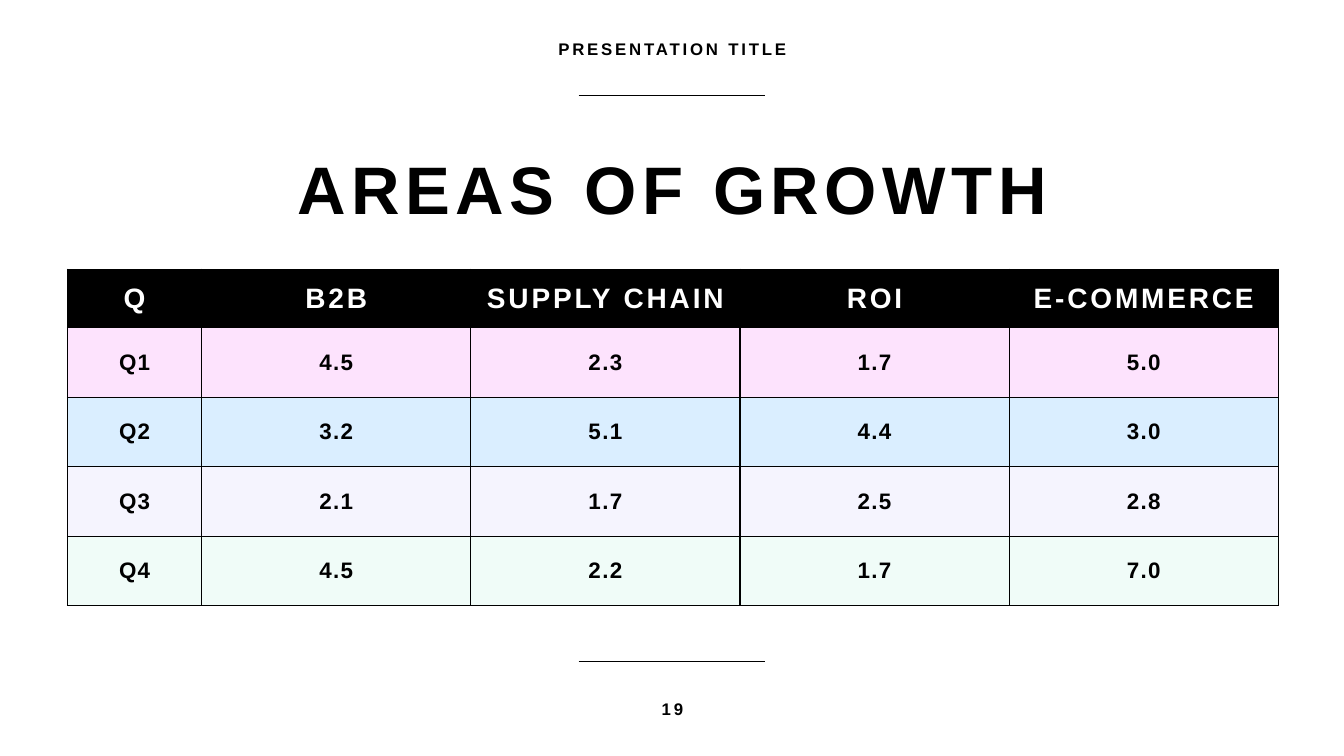
from lxml import etree
from pptx import Presentation
from pptx.dml.color import RGBColor
from pptx.enum import shapes, text
from pptx.oxml import ns
from pptx.util import Inches, Pt

BLACK = RGBColor(0x00, 0x00, 0x00)
WHITE = RGBColor(0xFF, 0xFF, 0xFF)
PINK = RGBColor(0xFB, 0xA3, 0xFB)
BLUE = RGBColor(0xB6, 0xDF, 0xFF)
LILAC = RGBColor(0xED, 0xEB, 0xFE)
MINT = RGBColor(0xE3, 0xFB, 0xF3)

# Content: text, box (left, top, width, height), size, letter spacing, top/bottom inset
HEADINGS = [
    ("AREAS OF GROWTH", (0.67, 0.95, 12, 1.72), 48, 4, (0.2, 0)),
    ("PRESENTATION TITLE", (4.42, 0.01, 4.5, 0.94), 12, 2, (0.05, 0.05)),
    ("19", (4.42, 6.57, 4.5, 0.93), 12, 2, (0.05, 0.05)),
]
RULE_LEFT, RULE_RIGHT = 5.74, 7.59
RULE_TOPS = (0.95, 6.56)

# Growth rows: values, fill, opacity in percent
GROWTH = [
    (("Q", "B2B", "SUPPLY CHAIN", "ROI", "E-COMMERCE"), BLACK, 100),
    (("Q1", "4.5", "2.3", "1.7", "5.0"), PINK, 30),
    (("Q2", "3.2", "5.1", "4.4", "3.0"), BLUE, 50),
    (("Q3", "2.1", "1.7", "2.5", "2.8"), LILAC, 50),
    (("Q4", "4.5", "2.2", "1.7", "7.0"), MINT, 50),
]
GROWTH_BOX = (0.67, 2.67, 12, 3.33)
QUARTER_WIDTH, MEASURE_WIDTH = 1.33, 2.67
HEADER_HEIGHT, QUARTER_HEIGHT = 0.58, 0.69


def write(frame, words, size, color, spacing):
    paragraph = frame.paragraphs[0]
    paragraph.alignment = text.PP_ALIGN.CENTER
    run = paragraph.add_run()
    run.text = words
    for name, value in {"name": "Arial", "size": Pt(size), "bold": True}.items():
        setattr(run.font, name, value)
    run.font.color.rgb = color
    run.font._element.set("spc", str(spacing * 100))
    return paragraph


def add_borders(cell):
    properties = cell._tc.get_or_add_tcPr()
    for place, side in enumerate(("lnL", "lnR", "lnT", "lnB")):
        border = etree.Element(ns.qn("a:" + side), w=str(Pt(1)))
        solid = etree.SubElement(border, ns.qn("a:solidFill"))
        etree.SubElement(solid, ns.qn("a:srgbClr"), val=str(BLACK))
        properties.insert(place, border)


def fill_cell(cell, color, opacity):
    cell.fill.solid()
    cell.fill.fore_color.rgb = color
    if opacity < 100:
        tint = cell._tc.tcPr.find(".//" + ns.qn("a:srgbClr"))
        etree.SubElement(tint, ns.qn("a:alpha"), val=str(opacity * 1000))


deck = Presentation()
deck.slide_width, deck.slide_height = Inches(13.33), Inches(7.5)
slide = deck.slides.add_slide(deck.slide_layouts[6])

# Short rules above and below
for top in RULE_TOPS:
    rule = slide.shapes.add_connector(
        shapes.MSO_CONNECTOR.STRAIGHT,
        *map(Inches, (RULE_LEFT, top, RULE_RIGHT, top)))
    rule.line.color.rgb = BLACK
    rule.line.width = Pt(1)
    etree.SubElement(rule._element.spPr, ns.qn("a:effectLst"))

# Title, header and page number
for words, box, size, spacing, (inset_top, inset_bottom) in HEADINGS:
    frame = slide.shapes.add_textbox(*map(Inches, box)).text_frame
    layout = {
        "word_wrap": True,
        "vertical_anchor": text.MSO_ANCHOR.MIDDLE,
        "margin_top": Inches(inset_top),
        "margin_bottom": Inches(inset_bottom),
    }
    for name, value in layout.items():
        setattr(frame, name, value)
    line = write(frame, words, size, BLACK, spacing)
    if size == 48:
        line.line_spacing = 0.9

# Growth table
growth = slide.shapes.add_table(
    len(GROWTH), len(GROWTH[0][0]), *map(Inches, GROWTH_BOX)).table
for number, column in enumerate(growth.columns):
    column.width = Inches(MEASURE_WIDTH if number else QUARTER_WIDTH)
for number, (values, color, opacity) in enumerate(GROWTH):
    growth.rows[number].height = Inches(QUARTER_HEIGHT if number else HEADER_HEIGHT)
    size, ink, spacing = (16, BLACK, 1) if number else (20, WHITE, 2)
    for place, value in enumerate(values):
        cell = growth.cell(number, place)
        cell.vertical_anchor = text.MSO_ANCHOR.MIDDLE
        write(cell.text_frame, value, size, ink, spacing)
        fill_cell(cell, color, opacity)
        add_borders(cell)

deck.save("out.pptx")
